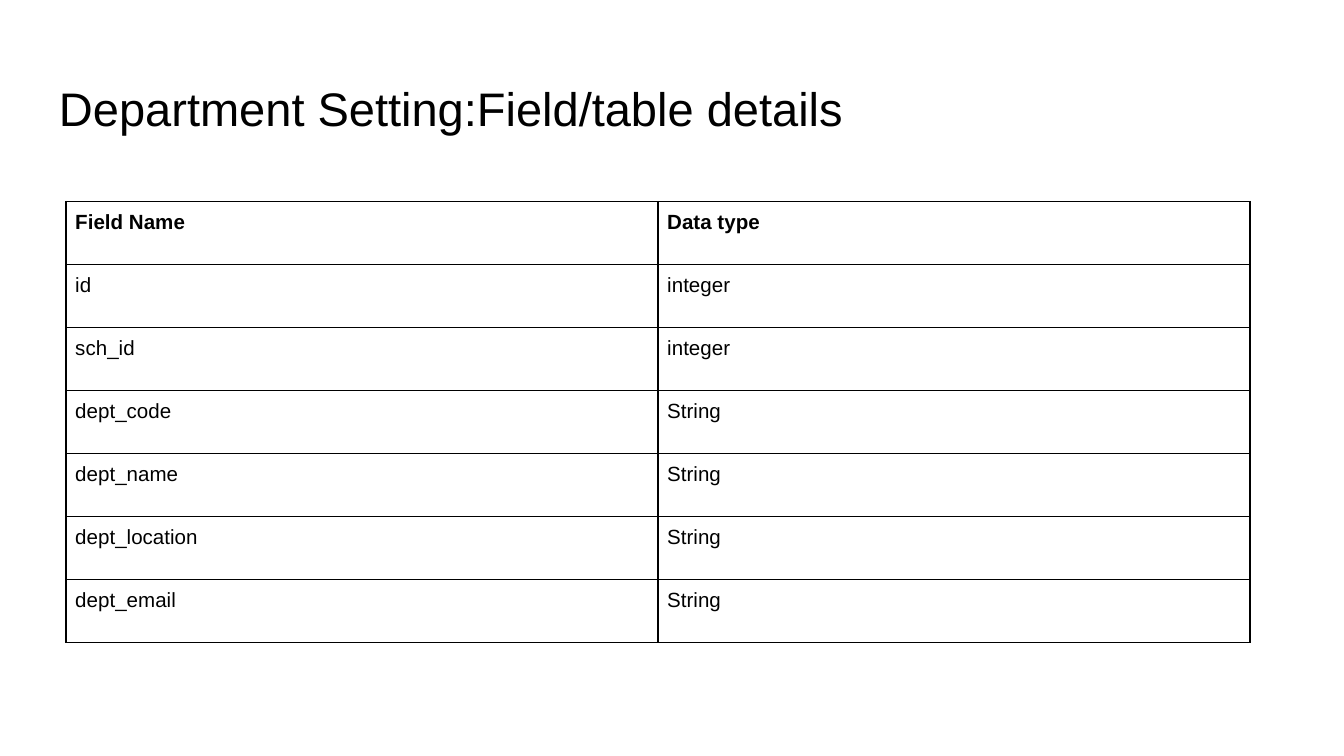
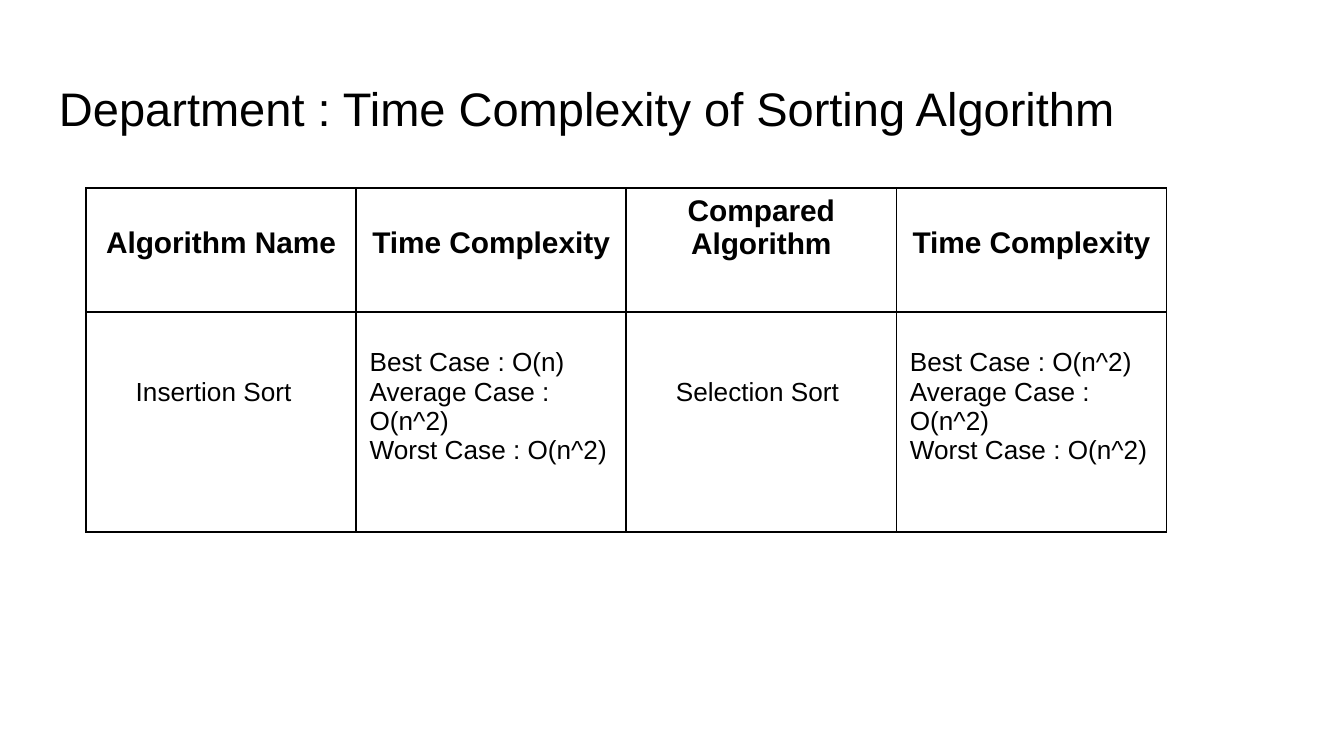
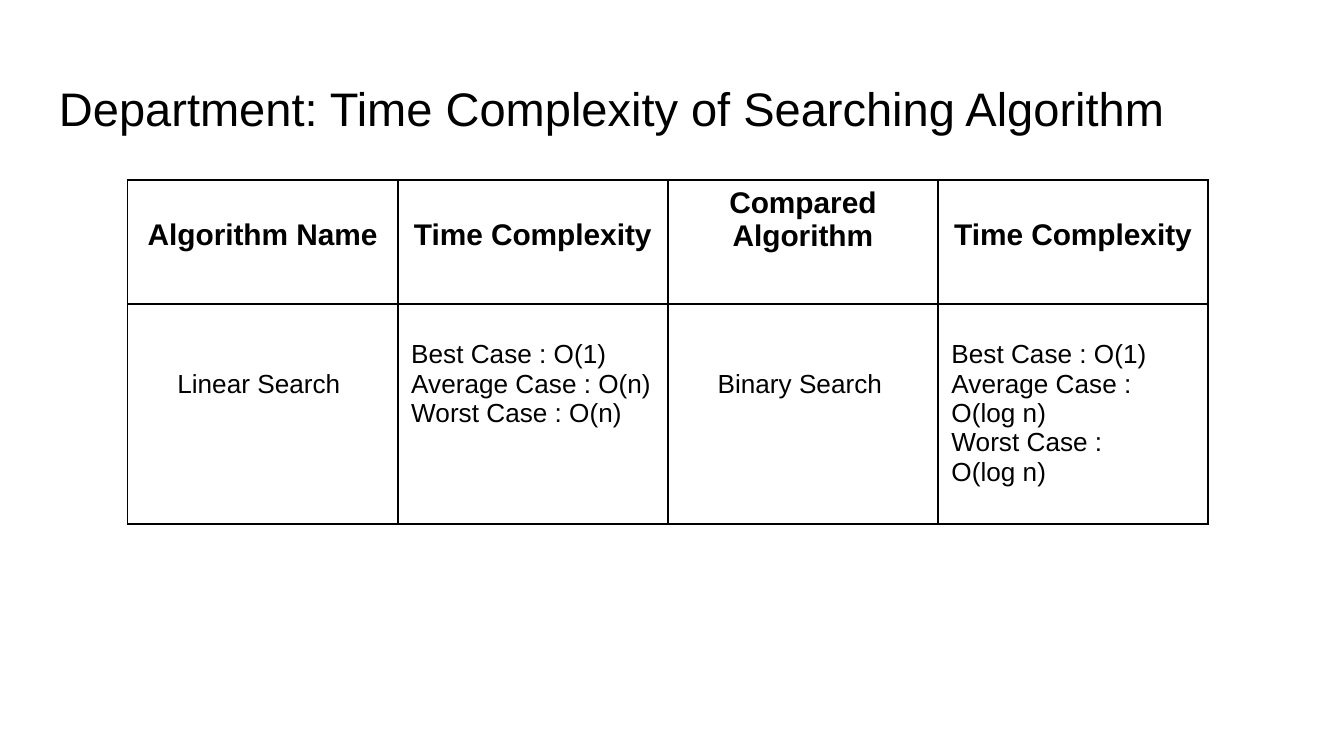
from lxml import etree
from pptx import Presentation
from pptx.dml.color import RGBColor
from pptx.enum.text import MSO_ANCHOR, PP_ALIGN
from pptx.oxml.ns import qn
from pptx.util import Inches, Pt

BLACK = RGBColor(0x00, 0x00, 0x00)
FONT = "Arial"
LEFT, CENTER = PP_ALIGN.LEFT, PP_ALIGN.CENTER
MIDDLE = MSO_ANCHOR.MIDDLE

HEAD_LINE = 0.24   # height of one 16 pt line
BODY_LINE = 0.22   # height of one 14 pt line
NAME_INDENT = 0.27


def add_lines(tf, lines, size, bold=False, align=LEFT):
    for i, line in enumerate(lines):
        p = tf.paragraphs[0] if i == 0 else tf.add_paragraph()
        p.alignment = align
        r = p.add_run()
        r.text = line
        r.font.name = FONT
        r.font.size = Pt(size)
        r.font.bold = bold
        r.font.color.rgb = BLACK


def style_cell(cell, left, top, right, bottom):
    cell.margin_left, cell.margin_top = Inches(left), Inches(top)
    cell.margin_right, cell.margin_bottom = Inches(right), Inches(bottom)
    tcPr = cell._tc.get_or_add_tcPr()
    for side in ("lnL", "lnR", "lnT", "lnB"):
        ln = etree.SubElement(tcPr, qn("a:" + side), w=str(Pt(1)))
        fill = etree.SubElement(ln, qn("a:solidFill"))
        etree.SubElement(fill, qn("a:srgbClr"), val=str(BLACK))
    cell.fill.background()


# 16:9 page
prs = Presentation()
prs.slide_width = Inches(10)
prs.slide_height = prs.slide_width * 9 // 16

# Slides and their titles
slides = []
for title in ("Department Setting:Field/table details",
              "Department : Time Complexity of Sorting Algorithm",
              "Department: Time Complexity of Searching Algorithm"):
    s = prs.slides.add_slide(prs.slide_layouts[6])
    tf = s.shapes.add_textbox(Inches(0.34), Inches(0.49),
                              Inches(9.32), Inches(0.63)).text_frame
    tf.word_wrap = True
    tf.vertical_anchor = MIDDLE
    tf.margin_left = tf.margin_right = Inches(0.1)
    tf.margin_top = tf.margin_bottom = Inches(0.1)
    add_lines(tf, [title], 25.2)
    slides.append(s)

# Field table
fields = [
    ("Field Name", "Data type"),
    ("id", "integer"),
    ("sch_id", "integer"),
    ("dept_code", "String"),
    ("dept_name", "String"),
    ("dept_location", "String"),
    ("dept_email", "String"),
]
table = slides[0].shapes.add_table(len(fields), 2, Inches(0.49), Inches(1.5),
                                   Inches(8.81), Inches(3.28)).table
table.horz_banding = False
for row, texts in enumerate(fields):
    for col, text in enumerate(texts):
        cell = table.cell(row, col)
        style_cell(cell, 0.07, 0.07, 0.07, 0.07)
        add_lines(cell.text_frame, [text], 11, bold=row == 0)

# Algorithm tables
headers = ["Algorithm Name", "Time Complexity", "Compared Algorithm", "Time Complexity"]
comparisons = [
    (slides[1], 0.64, 1.4, [
        ["Insertion Sort"],
        ["Best Case : O(n)", "Average Case : O(n^2)", "Worst Case : O(n^2)"],
        ["Selection Sort"],
        ["Best Case : O(n^2)", "Average Case : O(n^2)", "Worst Case : O(n^2)"],
    ]),
    (slides[2], 0.95, 1.34, [
        ["Linear Search"],
        ["Best Case : O(1)", "Average Case : O(n)", "Worst Case : O(n)"],
        ["Binary Search"],
        ["Best Case : O(1)", "Average Case : O(log n)", "Worst Case :", "O(log n)"],
    ]),
]
for s, x, y, body in comparisons:
    table = s.shapes.add_table(2, 4, Inches(x), Inches(y),
                               Inches(8.04), Inches(2.56)).table
    table.horz_banding = False
    table.rows[0].height, table.rows[1].height = Inches(0.92), Inches(1.64)
    for col, (header, lines) in enumerate(zip(headers, body)):
        # The two-line header starts one line higher than the others
        cell = table.cell(0, col)
        top = 0.05 if header == "Compared Algorithm" else 0.05 + HEAD_LINE
        style_cell(cell, 0.1, top, 0.1, 0.05)
        add_lines(cell.text_frame, [header], 16, bold=True, align=CENTER)

        # Algorithm names sit indented, level with the second case
        cell = table.cell(1, col)
        is_name = col % 2 == 0
        indent = NAME_INDENT if is_name else 0
        skipped = 2 if is_name else 1
        style_cell(cell, 0.1 + indent, 0.05 + skipped * BODY_LINE, 0.1, 0.05)
        add_lines(cell.text_frame, lines, 14)

prs.save("out.pptx")
